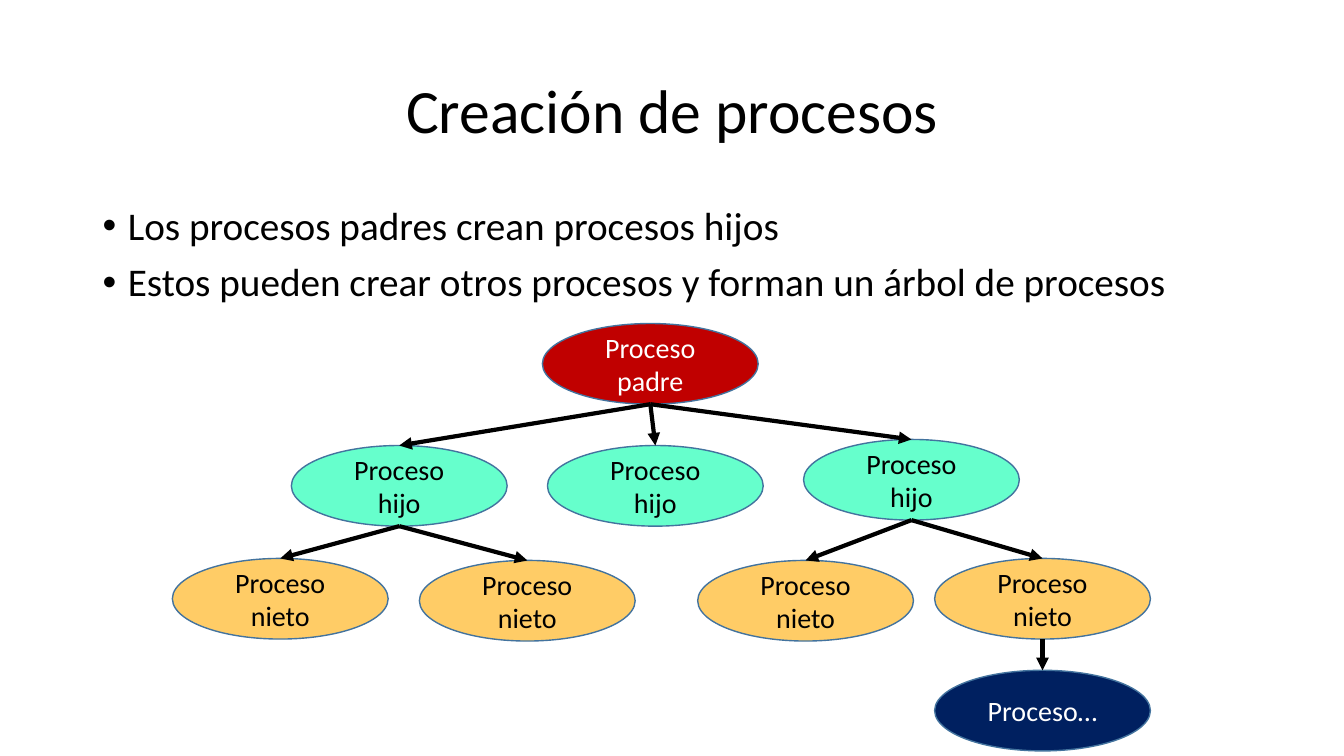
from dataclasses import dataclass

from lxml import etree
from pptx import Presentation
from pptx.dml.color import RGBColor
from pptx.enum.shapes import MSO_CONNECTOR, MSO_SHAPE
from pptx.enum.text import MSO_ANCHOR, MSO_AUTO_SIZE, PP_ALIGN
from pptx.oxml.ns import qn
from pptx.util import Emu, Pt

ELLIPSE = MSO_SHAPE.OVAL
STRAIGHT = MSO_CONNECTOR.STRAIGHT
MIDDLE = MSO_ANCHOR.MIDDLE
TOP = MSO_ANCHOR.TOP
CENTER = PP_ALIGN.CENTER
LEFT = PP_ALIGN.LEFT
NO_AUTOFIT = MSO_AUTO_SIZE.NONE

PX = 9144
TITLE_ONLY = 5
NODE_WIDTH, NODE_HEIGHT = 214, 80


@dataclass(frozen=True)
class Theme:
    font: str = "Calibri"
    title_size: int = 44
    bullet_size: int = 28
    node_size: int = 20
    ink: str = "000000"
    light: str = "FFFFFF"
    outline: str = "43739E"
    parent: str = "C00000"
    child: str = "66FFCC"
    grandchild: str = "FFCC66"
    descendant: str = "002060"


def px(length):
    return Emu(length * PX)


def rgb(color):
    return RGBColor.from_string(color)


class ProcessSlide:
    def __init__(self, deck, theme):
        self.theme = theme
        self.slide = deck.slides.add_slide(deck.slide_layouts[TITLE_ONLY])

    def style(self, paragraph, size, color, align):
        paragraph.alignment = align
        paragraph.font.name = self.theme.font
        paragraph.font.size = Pt(size)
        paragraph.font.color.rgb = rgb(color)

    def title(self, text, left, top, width, height):
        heading = self.slide.shapes.title
        heading.left, heading.top = px(left), px(top)
        heading.width, heading.height = px(width), px(height)
        frame = heading.text_frame
        frame.text = text
        frame.auto_size = NO_AUTOFIT
        frame.vertical_anchor = MIDDLE
        paragraph = frame.paragraphs[0]
        paragraph.line_spacing = 0.9
        self.style(paragraph, self.theme.title_size, self.theme.ink, CENTER)

    def bullets(self, statements, left, top, width, height):
        box = self.slide.shapes.add_textbox(px(left), px(top), px(width), px(height))
        frame = box.text_frame
        frame.word_wrap = True
        frame.vertical_anchor = TOP
        frame.text = "\n".join(statements)
        for paragraph in frame.paragraphs:
            paragraph.line_spacing = 0.9
            paragraph.space_before = Pt(10)
            self.style(paragraph, self.theme.bullet_size, self.theme.ink, LEFT)
            properties = paragraph._p.get_or_add_pPr()
            properties.set("marL", str(px(25)))
            properties.set("indent", str(px(-25)))
            marker_font = etree.Element(qn("a:buFont"), typeface="Arial")
            marker = etree.Element(qn("a:buChar"), char="•")
            properties.find(qn("a:defRPr")).addprevious(marker_font)
            marker_font.addnext(marker)

    def process(self, text, left, top, fill, color):
        node = self.slide.shapes.add_shape(
            ELLIPSE, px(left), px(top), px(NODE_WIDTH), px(NODE_HEIGHT))
        node.shadow.inherit = False
        node.fill.solid()
        node.fill.fore_color.rgb = rgb(fill)
        node.line.color.rgb = rgb(self.theme.outline)
        node.line.width = Pt(1)
        frame = node.text_frame
        frame.word_wrap = True
        frame.vertical_anchor = MIDDLE
        frame.text = text
        self.style(frame.paragraphs[0], self.theme.node_size, color, CENTER)
        return node

    def arrow(self, source, target):
        link = self.slide.shapes.add_connector(
            STRAIGHT,
            source.left + source.width // 2, source.top + source.height,
            target.left + target.width // 2, target.top)
        link.line.color.rgb = rgb(self.theme.ink)
        link.line.width = Pt(3)
        etree.SubElement(link.line._get_or_add_ln(), qn("a:tailEnd"), type="triangle")
        etree.SubElement(link._element.spPr, qn("a:effectLst"))


def main():
    deck = Presentation()
    deck.slide_width, deck.slide_height = px(1333), px(750)
    theme = Theme()
    page = ProcessSlide(deck, theme)

    page.title("Creación de procesos", 92, 40, 1150, 145)
    page.bullets([
        "Los procesos padres crean procesos hijos",
        "Estos pueden crear otros procesos y forman un árbol de procesos",
    ], 92, 200, 1150, 476)

    roles = {
        "padre": ("Proceso padre", theme.parent, theme.light),
        "hijo": ("Proceso hijo", theme.child, theme.ink),
        "nieto": ("Proceso nieto", theme.grandchild, theme.ink),
        "otro": ("Proceso…", theme.descendant, theme.light),
    }
    family = [
        ("padre", "padre", 538, 321, None),
        ("hijo 1", "hijo", 289, 442, "padre"),
        ("hijo 2", "hijo", 543, 442, "padre"),
        ("hijo 3", "hijo", 797, 436, "padre"),
        ("nieto 1", "nieto", 171, 554, "hijo 1"),
        ("nieto 2", "nieto", 416, 556, "hijo 1"),
        ("nieto 3", "nieto", 692, 556, "hijo 3"),
        ("nieto 4", "nieto", 927, 554, "hijo 3"),
        ("otro", "otro", 927, 665, "nieto 4"),
    ]
    processes = {}
    for key, role, left, top, _ in family:
        text, fill, color = roles[role]
        processes[key] = page.process(text, left, top, fill, color)
    for key, _, _, _, creator in family:
        if creator:
            page.arrow(processes[creator], processes[key])

    deck.save("out.pptx")


if __name__ == "__main__":
    main()
